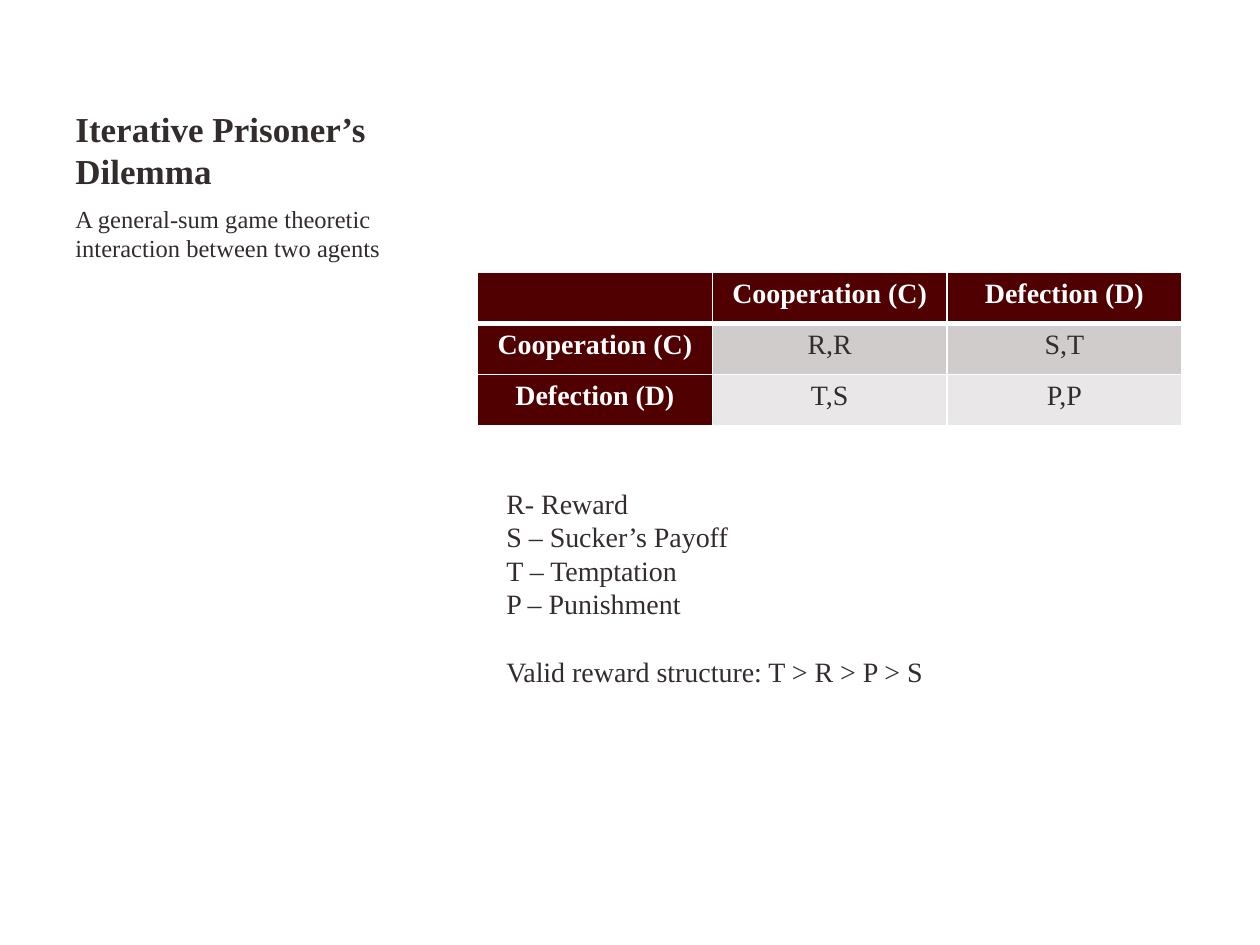
from dataclasses import dataclass

from lxml import etree
from pptx import Presentation
from pptx.dml.color import RGBColor
from pptx.enum.text import MSO_ANCHOR, MSO_AUTO_SIZE, PP_ALIGN
from pptx.oxml.ns import qn
from pptx.util import Inches, Pt

TOP, BOTTOM = MSO_ANCHOR.TOP, MSO_ANCHOR.BOTTOM
FIXED, GROW = MSO_AUTO_SIZE.NONE, MSO_AUTO_SIZE.SHAPE_TO_FIT_TEXT
CENTER = PP_ALIGN.CENTER
BLANK_LAYOUT = 6


@dataclass(frozen=True)
class Theme:
    font: str = "Times New Roman"
    ink: str = "332C2C"
    white: str = "FFFFFF"
    maroon: str = "500000"
    bands: tuple = ("D0CCCC", "E9E7E7")
    title: int = 20
    subtitle: int = 14
    body: int = 16
    rule: int = 1
    header_rule: int = 3


class SlideBuilder:
    """Places elements on a grid of 100 columns by 75 rows."""

    COLUMNS, ROWS = 100, 75

    def __init__(self, deck, theme):
        self.theme = theme
        self.slide = deck.slides.add_slide(deck.slide_layouts[BLANK_LAYOUT])
        self.column = deck.slide_width / self.COLUMNS
        self.row = deck.slide_height / self.ROWS

    def place(self, left, top, width, height):
        return (round(left * self.column), round(top * self.row),
                round(width * self.column), round(height * self.row))

    def add_words(self, paragraph, words, size, color, bold=False):
        run = paragraph.add_run()
        run.text = words
        style = {"name": self.theme.font, "size": Pt(size), "bold": bold}
        for name, value in style.items():
            setattr(run.font, name, value)
        run.font.color.rgb = RGBColor.from_string(color)

    def text(self, box, lines, size, bold=False, gaps=None, **frame_format):
        """Add a text box; gaps maps a line's index to its space before in points."""
        frame = self.slide.shapes.add_textbox(*self.place(*box)).text_frame
        settings = {"word_wrap": True, "auto_size": FIXED,
                    "vertical_anchor": TOP} | frame_format
        for name, value in settings.items():
            setattr(frame, name, value)
        for index, line in enumerate(lines):
            paragraph = frame.add_paragraph() if index else frame.paragraphs[0]
            paragraph.space_before = Pt((gaps or {}).get(index, 0))
            self.add_words(paragraph, line, size, self.theme.ink, bold)

    def borders(self, cell, widths):
        properties = cell._tc.get_or_add_tcPr()
        for side, width in widths.items():
            line = etree.SubElement(properties, qn(f"a:ln{side}"), w=str(Pt(width)))
            fill = etree.SubElement(line, qn("a:solidFill"))
            etree.SubElement(fill, qn("a:srgbClr"), val=self.theme.white)

    def matrix(self, box, rows):
        """Add a table whose first row and first column are headings."""
        theme = self.theme
        table = self.slide.shapes.add_table(
            len(rows), len(rows[0]), *self.place(*box)).table
        for r, values in enumerate(rows):
            for c, value in enumerate(values):
                cell = table.cell(r, c)
                heading = r == 0 or c == 0
                self.borders(cell, {
                    "L": theme.rule, "R": theme.rule,
                    "T": theme.header_rule if r == 1 else theme.rule,
                    "B": theme.header_rule if r == 0 else theme.rule})
                cell.fill.solid()
                cell.fill.fore_color.rgb = RGBColor.from_string(
                    theme.maroon if heading else theme.bands[(r - 1) % 2])
                paragraph = cell.text_frame.paragraphs[0]
                paragraph.alignment = CENTER
                if value:
                    self.add_words(paragraph, value, theme.body,
                                   theme.white if heading else theme.ink, heading)


def main():
    deck = Presentation()
    deck.slide_width, deck.slide_height = Inches(10), Inches(7.5)
    theme = Theme()
    page = SlideBuilder(deck, theme)

    page.text((5, 4.4, 32.9, 11.3), ["Iterative Prisoner’s Dilemma"],
              theme.title, bold=True, vertical_anchor=BOTTOM)
    page.text((5, 15.7, 32.9, 48.6),
              ["A general-sum game theoretic interaction between two agents"],
              theme.subtitle, gaps={0: 0.2 * theme.subtitle})

    moves = ["Cooperation (C)", "Defection (D)"]
    payoffs = [["R,R", "S,T"], ["T,S", "P,P"]]
    page.matrix((37.9, 21.6, 55.9, 12.2),
                [["", *moves]] + [[move, *pair] for move, pair in zip(moves, payoffs)])

    legend = ["R- Reward", "S – Sucker’s Payoff", "T – Temptation", "P – Punishment"]
    page.text((39.2, 38.1, 38.2, 17.2),
              legend + ["Valid reward structure: T > R > P > S"], theme.body,
              gaps={len(legend): 1.2 * theme.body}, word_wrap=False, auto_size=GROW)

    deck.save("out.pptx")


if __name__ == "__main__":
    main()
